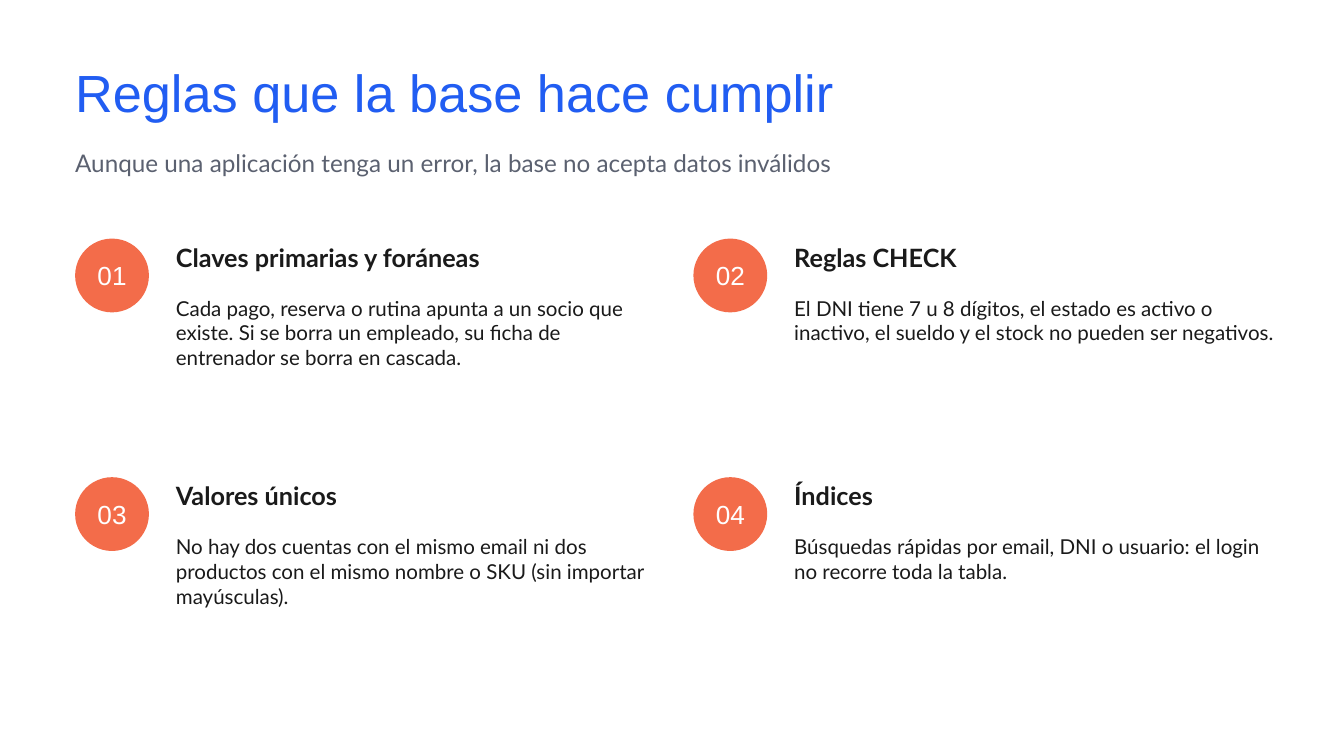
from pptx import Presentation
from pptx.dml.color import RGBColor
from pptx.enum.shapes import MSO_SHAPE
from pptx.enum.text import MSO_ANCHOR, MSO_AUTO_SIZE, PP_ALIGN
from pptx.util import Cm, Pt

COLORS = {
    "title": "215DF2",
    "subtitle": "5B6170",
    "badge": "F36C4A",
    "number": "FFFFFF",
    "ink": "1A1A1A",
}
FONTS = {
    "title": {"name": "Arial", "size": Pt(56)},
    "subtitle": {"name": "Lato", "size": Pt(26)},
    "number": {"name": "Arial", "size": Pt(28)},
    "heading": {"name": "Lato", "size": Pt(27), "bold": True},
    "body": {"name": "Lato", "size": Pt(22)},
}
FRAME = {
    "margin_left": 0,
    "margin_top": 0,
    "margin_right": 0,
    "margin_bottom": 0,
    "word_wrap": True,
}
RULES = [
    ("Claves primarias y foráneas",
     "Cada pago, reserva o rutina apunta a un socio que existe. "
     "Si se borra un empleado, su ficha de entrenador se borra en cascada."),
    ("Reglas CHECK",
     "El DNI tiene 7 u 8 dígitos, el estado es activo o inactivo, "
     "el sueldo y el stock no pueden ser negativos."),
    ("Valores únicos",
     "No hay dos cuentas con el mismo email ni dos productos "
     "con el mismo nombre o SKU (sin importar mayúsculas)."),
    ("Índices",
     "Búsquedas rápidas por email, DNI o usuario: "
     "el login no recorre toda la tabla."),
]


def color(key):
    """Return the named palette colour."""
    return RGBColor.from_string(COLORS[key])


def apply(target, values):
    """Set each format value on the target."""
    for name, value in values.items():
        setattr(target, name, value)


def write(frame, wording, style, ink, **layout):
    """Write one styled paragraph into a text frame."""
    apply(frame, FRAME | layout)
    paragraph = frame.paragraphs[0]
    line = paragraph.add_run()
    line.text = wording
    apply(line.font, FONTS[style])
    line.font.color.rgb = color(ink)
    return paragraph


def add_text(slide, left, top, width, height, wording, style, ink):
    """Add a text box that grows with its wording."""
    box = slide.shapes.add_textbox(Cm(left), Cm(top), Cm(width), Cm(height))
    write(box.text_frame, wording, style, ink,
          auto_size=MSO_AUTO_SIZE.SHAPE_TO_FIT_TEXT)


def add_header(slide, left, top, width):
    """Place the title with the subtitle below it."""
    add_text(slide, left, top, width, 3.3,
             "Reglas que la base hace cumplir", "title", "title")
    add_text(slide, left, top + 3.3, width, 2.03,
             "Aunque una aplicación tenga un error, la base no acepta datos inválidos",
             "subtitle", "subtitle")


def add_badge(slide, left, top, diameter, number):
    """Place a numbered circle."""
    badge = slide.shapes.add_shape(
        MSO_SHAPE.OVAL, Cm(left), Cm(top), Cm(diameter), Cm(diameter))
    badge.shadow.inherit = False
    badge.fill.solid()
    badge.fill.fore_color.rgb = color("badge")
    badge.line.fill.background()
    label = write(badge.text_frame, f"{number:02}", "number", "number",
                  vertical_anchor=MSO_ANCHOR.MIDDLE)
    label.alignment = PP_ALIGN.CENTER


def add_rule(slide, left, top, width, height, number, heading, body):
    """Place a badge with its heading and explanation."""
    indent, heading_drop, body_drop = 3.81, 0.13, 2.16
    add_badge(slide, left, top, 2.79, number)
    add_text(slide, left + indent, top + heading_drop, width - indent, 1.78,
             heading, "heading", "ink")
    add_text(slide, left + indent, top + body_drop, width - indent,
             height - body_drop, body, "body", "ink")


def add_rules(slide, left, top, width, height):
    """Lay out the rules in a grid of two columns and two rows."""
    column_gap, row_gap = 1.27, 0.76
    rule_width = (width - column_gap) / 2
    rule_height = (height - row_gap) / 2
    for index, (heading, body) in enumerate(RULES):
        row, column = divmod(index, 2)
        add_rule(slide,
                 left + column * (rule_width + column_gap),
                 top + row * (rule_height + row_gap),
                 rule_width, rule_height, index + 1, heading, body)


def main():
    """Build and save the presentation."""
    presentation = Presentation()
    presentation.slide_width = Cm(50.8)
    presentation.slide_height = Cm(28.58)
    slide = presentation.slides.add_slide(presentation.slide_layouts[6])
    margin = 2.84
    add_header(slide, margin, 2.29, 44.45)
    add_rules(slide, margin, 9.02, 45.47, 17.28)
    presentation.save("out.pptx")


if __name__ == "__main__":
    main()
